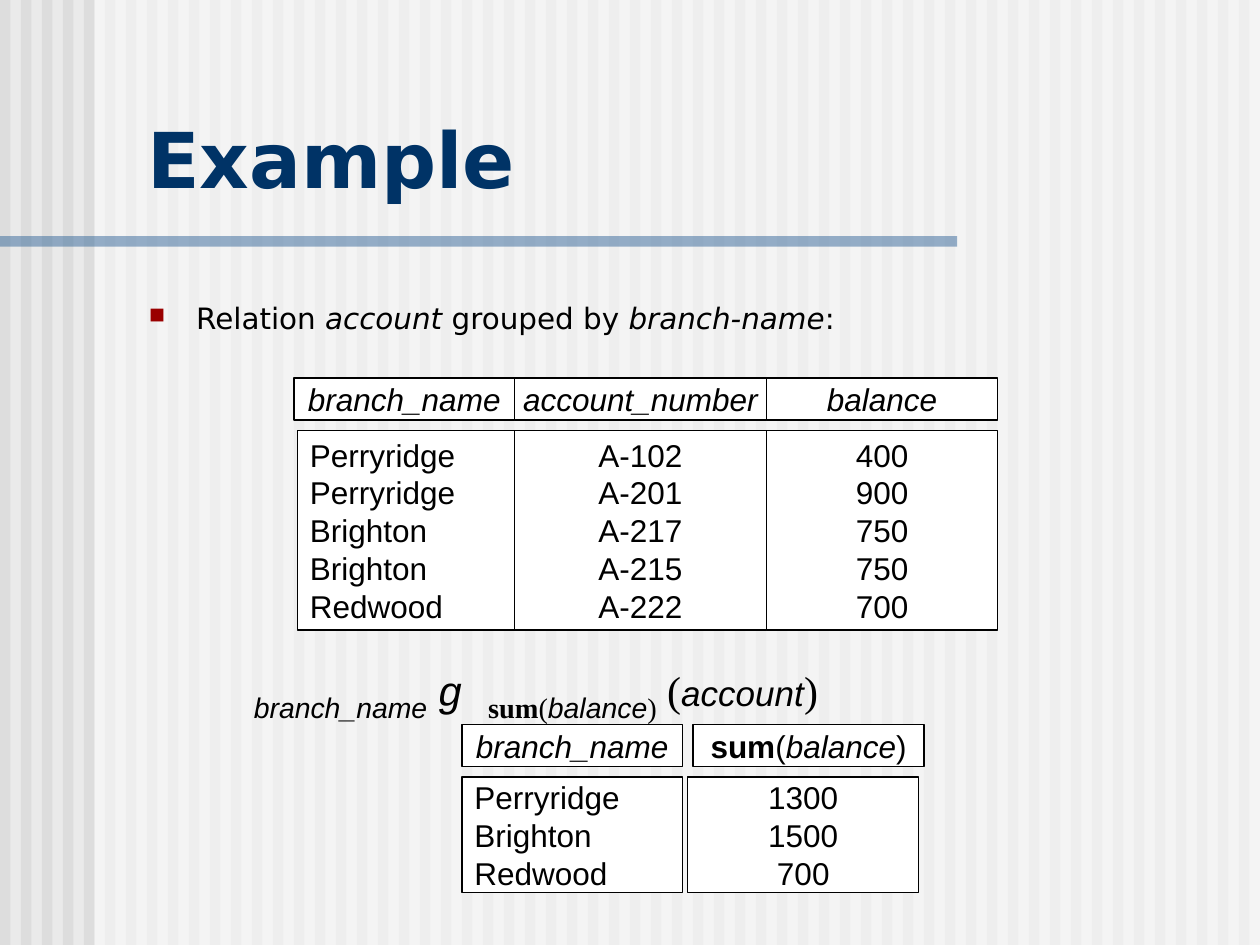
from lxml.etree import SubElement
from pptx import Presentation
from pptx.dml.color import RGBColor
from pptx.enum.shapes import MSO_SHAPE as Shape
from pptx.enum.text import MSO_ANCHOR as Anchor, PP_ALIGN as Align
from pptx.oxml.ns import qn
from pptx.util import Pt

COLORS = {
    "background": "EAEAEA",
    "stripe": "DDDDDD",
    "white": "FFFFFF",
    "rule": "336699",
    "title": "003366",
    "bullet": "9A0000",
    "black": "000000",
}
SANS, ARIAL, TIMES, MONO = "DejaVu Sans", "Arial", "Times New Roman", "Courier New"
SUBSCRIPT = -25000


def color(name):
    return RGBColor.from_string(COLORS[name])


def add_rect(shapes, left, top, width, height, fill, alpha=None):
    rect = shapes.add_shape(Shape.RECTANGLE, Pt(left), Pt(top), Pt(width), Pt(height))
    rect.shadow.inherit = False
    rect.fill.solid()
    rect.fill.fore_color.rgb = color(fill)
    rect.line.fill.background()
    if alpha is not None:
        tint = rect._element.spPr.find(".//" + qn("a:srgbClr"))
        SubElement(tint, qn("a:alpha"), val=str(alpha * 1000))
    return rect


def add_span(para, text, size, font, bold=False, italic=False, ink="black", baseline=0):
    span = para.add_run()
    span.text = text
    span.font.size = Pt(size)
    span.font.name = font
    span.font.bold = bold
    span.font.italic = italic
    span.font.color.rgb = color(ink)
    if baseline:
        span._r.get_or_add_rPr().set("baseline", str(baseline))


def add_text_box(slide, left, top, width, height, anchor=Anchor.TOP):
    box = slide.shapes.add_textbox(Pt(left), Pt(top), Pt(width), Pt(height))
    box.text_frame.word_wrap = True
    box.text_frame.vertical_anchor = anchor
    return box.text_frame.paragraphs[0]


def add_bullet(para, indent):
    props = para._p.get_or_add_pPr()
    props.set("marL", str(Pt(indent)))
    props.set("indent", str(-Pt(indent)))
    tint = SubElement(props, qn("a:buClr"))
    SubElement(tint, qn("a:srgbClr"), val=COLORS["bullet"])
    SubElement(props, qn("a:buSzPct"), val="75000")
    SubElement(props, qn("a:buChar"), char="■")


def add_cell(shapes, left, top, width, height, lines, align):
    """Outlined box; each line is a list of (text, style) spans."""
    cell = add_rect(shapes, left, top, width, height, "white")
    cell.line.color.rgb = color("black")
    cell.line.width = Pt(0.75)
    frame = cell.text_frame
    frame.word_wrap = False
    frame.vertical_anchor = Anchor.MIDDLE
    for index, line in enumerate(lines):
        para = frame.add_paragraph() if index else frame.paragraphs[0]
        para.alignment = align
        for text, style in line:
            add_span(para, text, 18, ARIAL, **style)


def add_relation(slide, top, body_height, columns):
    """Header boxes over body boxes: (header left, body left, width, header, values)."""
    shapes = slide.shapes.add_group_shape().shapes
    for head_left, _, width, header, _ in columns:
        add_cell(shapes, head_left, top, width, 24, [header], Align.CENTER)
    for index, (_, body_left, width, _, values) in enumerate(columns):
        lines = [[(value, {})] for value in values]
        align = Align.CENTER if index else Align.LEFT
        add_cell(shapes, body_left, top + 30, width, body_height, lines, align)


def add_backdrop(slide):
    slide.background.fill.solid()
    slide.background.fill.fore_color.rgb = color("background")
    shapes = slide.shapes.add_group_shape().shapes
    for index in range(60):
        add_rect(shapes, 12 * index, 0, 6, 540, "stripe")
    add_rect(shapes, 54, 0, 666, 540, "white", alpha=50)
    add_rect(shapes, 0, 135, 547, 6, "rule", alpha=50)


def add_formula(slide):
    para = add_text_box(slide, 138, 372, 554, 46)
    add_span(para, "branch_name", 28, ARIAL, italic=True, baseline=SUBSCRIPT)
    add_span(para, " ", 24, TIMES)
    add_span(para, "g ", 24, MONO, italic=True)
    add_span(para, "sum", 28, TIMES, bold=True, baseline=SUBSCRIPT)
    add_span(para, "(", 28, TIMES, baseline=SUBSCRIPT)
    add_span(para, "balance", 28, ARIAL, italic=True, baseline=SUBSCRIPT)
    add_span(para, ")", 28, TIMES, baseline=SUBSCRIPT)
    add_span(para, " (", 24, TIMES)
    add_span(para, "account", 20, ARIAL, italic=True)
    add_span(para, ")", 24, TIMES)


def main():
    deck = Presentation()
    deck.slide_width, deck.slide_height = Pt(720), Pt(540)
    slide = deck.slides.add_slide(deck.slide_layouts[6])
    add_backdrop(slide)

    # Title and statement
    title = add_text_box(slide, 77, 60, 240, 60, Anchor.BOTTOM)
    add_span(title, "Example", 44, SANS, bold=True, ink="title")
    statement = add_text_box(slide, 78, 168, 572, 28)
    add_bullet(statement, 27)
    for text, italic in (("Relation ", False), ("account", True), (" grouped by ", False),
                         ("branch-name", True), (":", False)):
        add_span(statement, text, 16.8, SANS, italic=italic)

    add_formula(slide)

    # Source relation and its aggregate
    slanted = {"italic": True}
    branch = [("branch_name", slanted)]
    total = [("sum", {"bold": True}), ("(", {}), ("balance", slanted), (")", {})]
    add_relation(slide, 216, 114, [
        (168, 170, 126, branch,
         ["Perryridge", "Perryridge", "Brighton", "Brighton", "Redwood"]),
        (294, 294, 144, [("account_number", slanted)],
         ["A-102", "A-201", "A-217", "A-215", "A-222"]),
        (438, 438, 132, [("balance", slanted)], ["400", "900", "750", "750", "700"]),
    ])
    add_relation(slide, 414, 66, [
        (264, 264, 126, branch, ["Perryridge", "Brighton", "Redwood"]),
        (396, 393, 132, total, ["1300", "1500", "700"]),
    ])

    deck.save("out.pptx")


if __name__ == "__main__":
    main()
